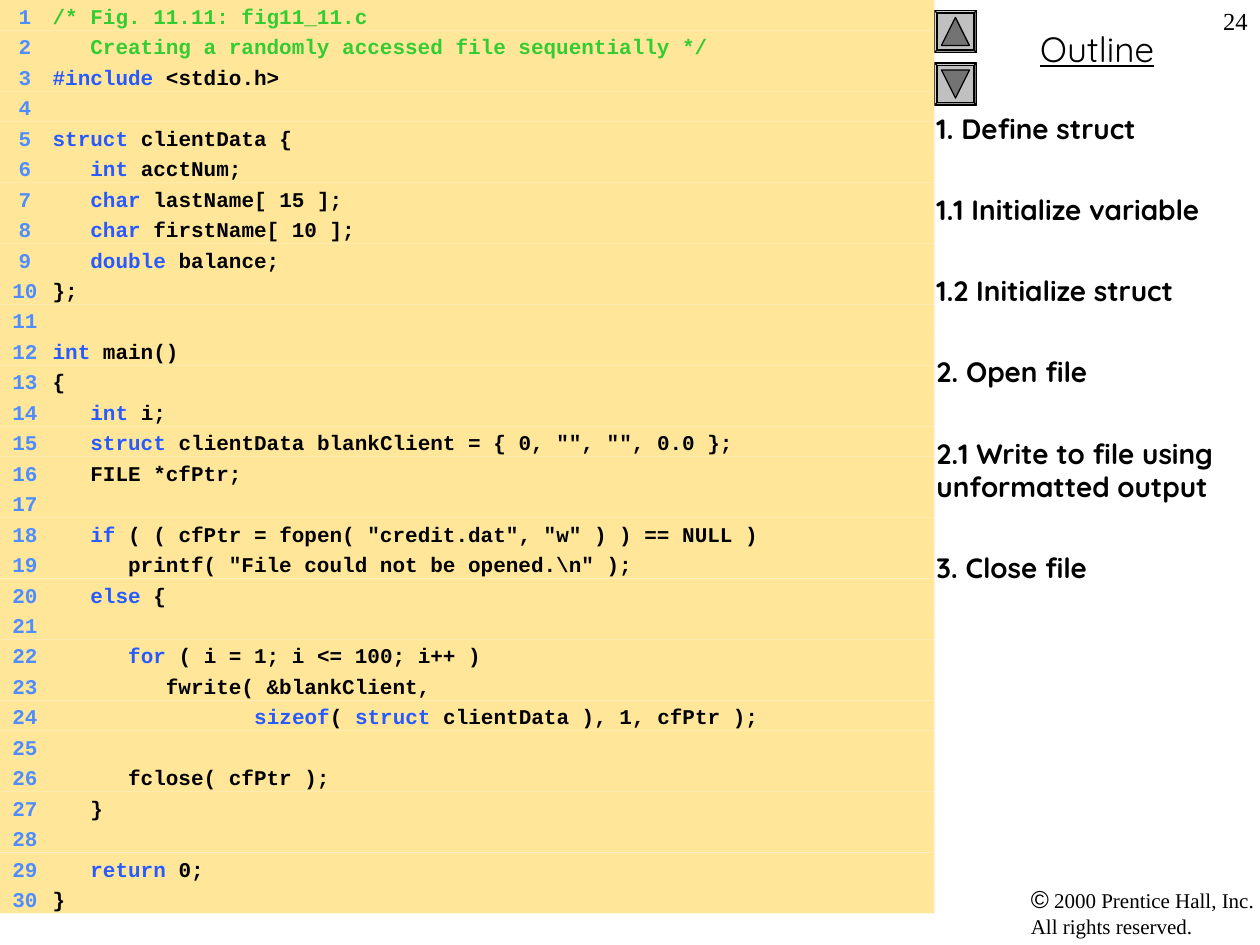
from itertools import groupby

from lxml import etree
from pptx import Presentation
from pptx.dml.color import RGBColor
from pptx.enum import shapes, text
from pptx.oxml import ns
from pptx.util import Pt

BLACK = RGBColor(0x00, 0x00, 0x00)
PANEL = RGBColor(0xFF, 0xE6, 0x99)
NUMBER = RGBColor(0x4D, 0x8D, 0xFF)
KEYWORD = RGBColor(0x27, 0x5A, 0xFF)
COMMENT = RGBColor(0x33, 0xCC, 0x33)
BUTTON = RGBColor(0xC0, 0xC0, 0xC0)
ARROW = RGBColor(0x73, 0x73, 0x73)

KEYWORDS = {"#include", "struct", "int", "char", "double", "if", "else",
            "for", "sizeof", "return"}
COMMENT_LINES = 2
CODE = r"""/* Fig. 11.11: fig11_11.c
   Creating a randomly accessed file sequentially */
#include <stdio.h>

struct clientData {
   int acctNum;
   char lastName[ 15 ];
   char firstName[ 10 ];
   double balance;
};

int main()
{
   int i;
   struct clientData blankClient = { 0, "", "", 0.0 };
   FILE *cfPtr;

   if ( ( cfPtr = fopen( "credit.dat", "w" ) ) == NULL )
      printf( "File could not be opened.\n" );
   else {

      for ( i = 1; i <= 100; i++ )
         fwrite( &blankClient,
                sizeof( struct clientData ), 1, cfPtr );

      fclose( cfPtr );
   }

   return 0;
}"""
OUTLINE = ["1. Define struct", "1.1 Initialize variable",
           "1.2 Initialize struct", "2. Open file",
           "2.1 Write to file using unformatted output", "3. Close file"]


def add_run(paragraph, words, font, size, color=BLACK, bold=False, underline=False):
    run = paragraph.add_run()
    run.text = words
    run.font.name, run.font.size = font, Pt(size)
    run.font.bold, run.font.underline = bold, underline
    run.font.color.rgb = color


def add_text_frame(slide, left, top, width, height):
    frame = slide.shapes.add_textbox(Pt(left), Pt(top), Pt(width), Pt(height)).text_frame
    frame.word_wrap = True
    return frame


def add_filled_shape(slide, preset, left, top, width, height, fill, line=None):
    shape = slide.shapes.add_shape(preset, Pt(left), Pt(top), Pt(width), Pt(height))
    shape.shadow.inherit = False
    shape.fill.solid()
    shape.fill.fore_color.rgb = fill
    if line is None:
        shape.line.fill.background()
    else:
        shape.line.color.rgb = line
        shape.line.width = Pt(0.75)
    return shape


def set_tabs(paragraph, stops):
    tabs = etree.SubElement(paragraph._p.get_or_add_pPr(), ns.qn("a:tabLst"))
    for position, align in stops:
        etree.SubElement(tabs, ns.qn("a:tab"), pos=str(Pt(position)), algn=align)


def colored_pieces(line):
    """Split a code line into words and gaps, with keywords coloured."""
    for _, chars in groupby(line, lambda c: c.isalnum() or c == "#"):
        piece = "".join(chars)
        yield piece, KEYWORD if piece in KEYWORDS else BLACK


def code_listing(slide, left, top, width, height):
    lines = CODE.splitlines()
    row_height = height / len(lines)
    for index, line in enumerate(lines):
        row = add_filled_shape(slide, shapes.MSO_SHAPE.RECTANGLE, left,
                               top + index * row_height, width, row_height, PANEL)
        # A small top inset keeps descenders inside the row
        frame = row.text_frame
        frame.vertical_anchor = text.MSO_ANCHOR.TOP
        frame.margin_top, frame.margin_bottom = Pt(2), Pt(0)
        paragraph = frame.paragraphs[0]
        paragraph.alignment = text.PP_ALIGN.LEFT
        set_tabs(paragraph, [(10.8, "r"), (23, "l")])

        # Line number, then runs of one colour
        add_run(paragraph, f"\t{index + 1}\t", "Courier New", 12, NUMBER, bold=True)
        pieces = [(line, COMMENT)] if index < COMMENT_LINES else colored_pieces(line)
        for color, group in groupby(pieces, lambda piece: piece[1]):
            words = "".join(piece for piece, _ in group)
            add_run(paragraph, words, "Courier New", 12, color, bold=True)


def navigation_buttons(slide, left, top, size, pitch):
    inset = size / 6
    arrow_size = size - 2 * inset
    for index, rotation in enumerate((0, 180)):
        button_top = top + index * pitch
        # Bevelled key with an up or down arrow
        key = add_filled_shape(slide, shapes.MSO_SHAPE.BEVEL, left, button_top,
                               size, size, BUTTON, BLACK)
        key.adjustments[0] = 0.06
        arrow = add_filled_shape(slide, shapes.MSO_SHAPE.ISOSCELES_TRIANGLE,
                                 left + inset, button_top + inset,
                                 arrow_size, arrow_size, ARROW, BLACK)
        arrow.rotation = rotation


def outline_title(slide, left, top, width, height):
    title = add_text_frame(slide, left, top, width, height).paragraphs[0]
    title.alignment = text.PP_ALIGN.CENTER
    add_run(title, "Outline", "Quicksand", 20, underline=True)


def outline_list(slide, left, top, width, height):
    frame = add_text_frame(slide, left, top, width, height)
    for index, topic in enumerate(OUTLINE):
        paragraph = frame.add_paragraph() if index else frame.paragraphs[0]
        if index:
            paragraph.space_before = Pt(27.2)
        add_run(paragraph, topic, "Quicksand", 16, bold=True)


def page_number(slide, left, top, width, height):
    number = add_text_frame(slide, left, top, width, height).paragraphs[0]
    number.alignment = text.PP_ALIGN.RIGHT
    add_run(number, "24", "Times New Roman", 14)


def copyright_notice(slide, left, top, width, height):
    notice = add_text_frame(slide, left, top, width, height).paragraphs[0]
    add_run(notice, "©", "Arial", 14)
    add_run(notice, " 2000 Prentice Hall, Inc.", "Times New Roman", 12)
    notice.add_line_break()
    add_run(notice, "All rights reserved.", "Times New Roman", 12)


def main():
    deck = Presentation()
    deck.slide_width, deck.slide_height = Pt(720), Pt(540)
    slide = deck.slides.add_slide(deck.slide_layouts[6])
    copyright_notice(slide, 582, 501.5, 282, 39)
    outline_title(slide, 534, 12, 186, 32)
    navigation_buttons(slide, 534, 6, 24, 30)
    outline_list(slide, 528, 60, 192, 480)
    code_listing(slide, 0, 0, 534, 522)
    page_number(slide, 570, 0, 150, 36)
    deck.save("out.pptx")


if __name__ == "__main__":
    main()
